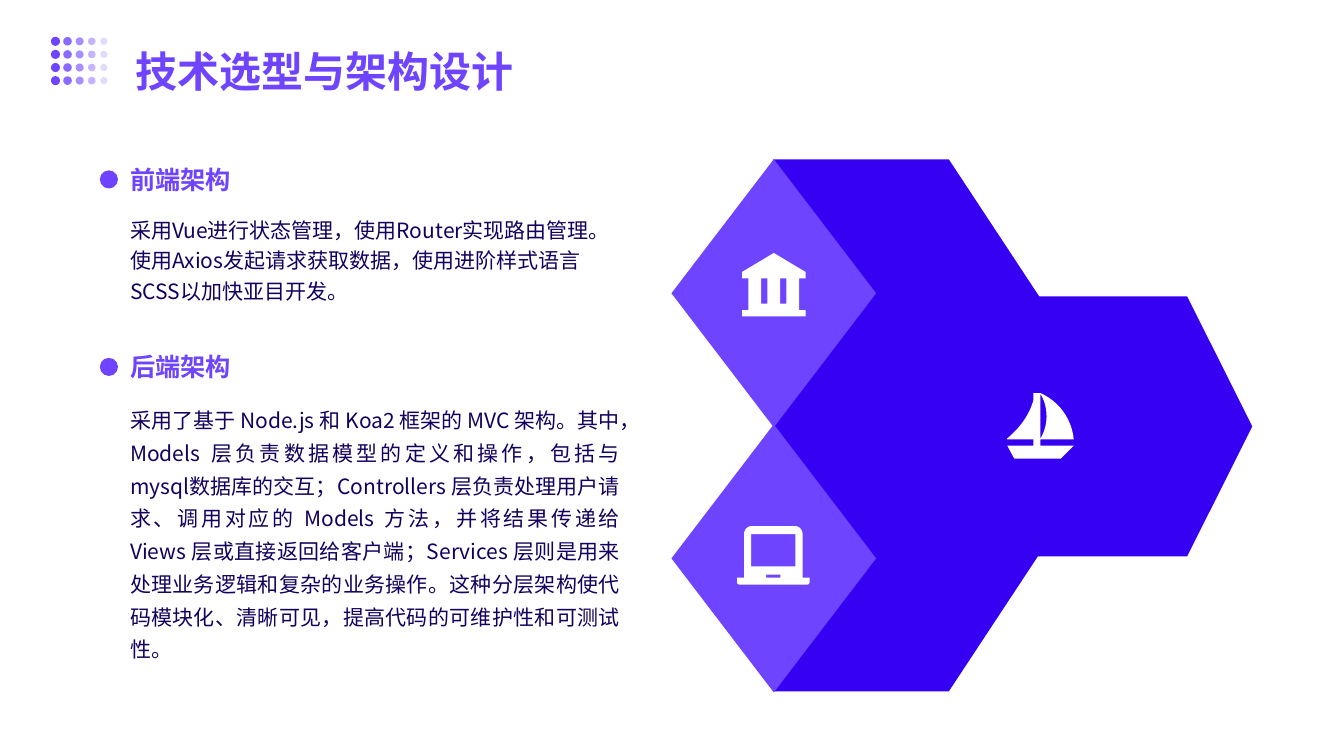
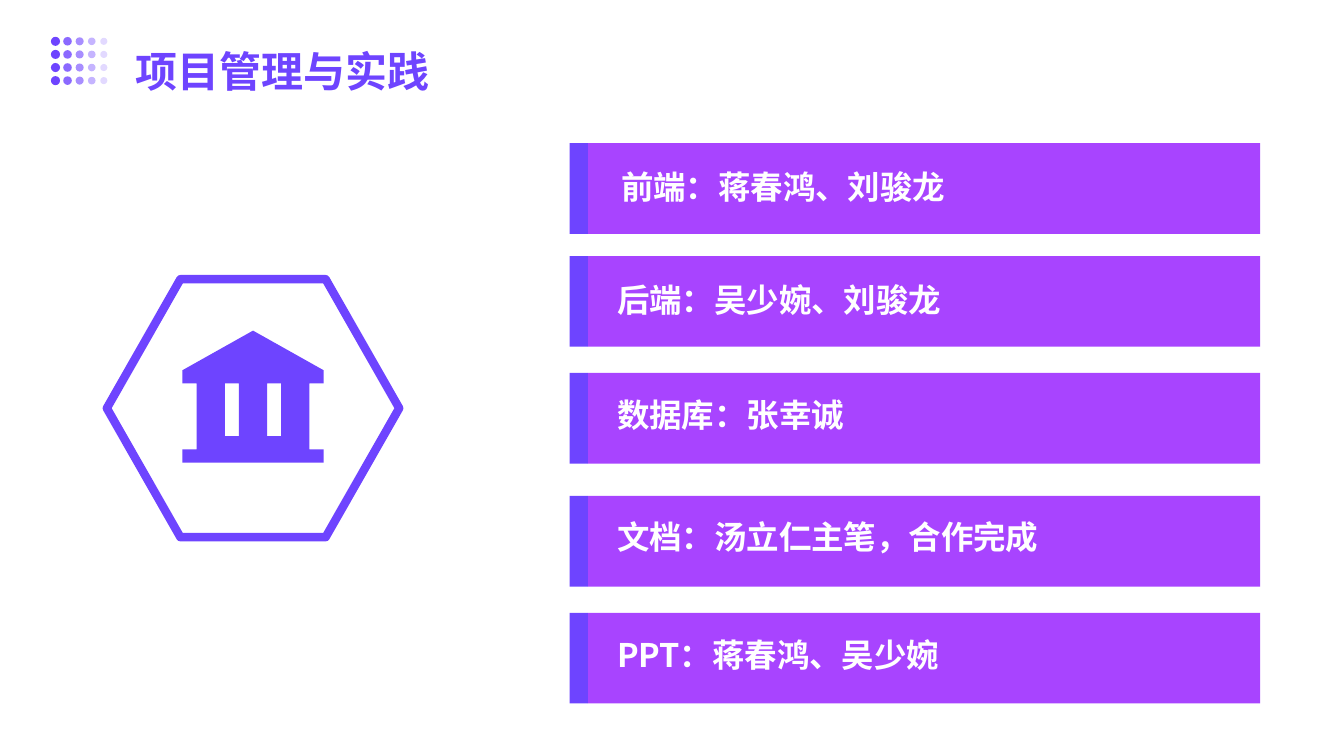
from lxml.etree import SubElement
from pptx import Presentation
from pptx.dml.color import RGBColor
from pptx.enum.shapes import MSO_SHAPE as SHAPE
from pptx.enum.text import MSO_ANCHOR as ANCHOR, MSO_AUTO_SIZE as AUTO, PP_ALIGN as ALIGN
from pptx.oxml.ns import qn
from pptx.util import Inches, Pt

VIOLET = RGBColor(0x6E, 0x44, 0xFF)
BLUE = RGBColor(0x36, 0x00, 0xF2)
PURPLE = RGBColor(0xA8, 0x44, 0xFF)
INK = RGBColor(0x15, 0x00, 0x5E)
WHITE = RGBColor(0xFF, 0xFF, 0xFF)
FONT = "Noto Sans CJK SC"
TITLE_ONLY = 5

BANK = [
    [(0, 0.3), (0.5, 0), (1, 0.3), (1, 0.4), (0.9, 0.4), (0.9, 0.9), (1, 0.9),
     (1, 1), (0, 1), (0, 0.9), (0.1, 0.9), (0.1, 0.4), (0, 0.4)],
    [(0.3, 0.4), (0.4, 0.4), (0.4, 0.8), (0.3, 0.8)],
    [(0.6, 0.4), (0.7, 0.4), (0.7, 0.8), (0.6, 0.8)],
]
LAPTOP = [
    [(7.96, 5.73), (8.03, 5.73), (8.03, 5.77), (8.03, 5.79, 8.02, 5.8, 8, 5.8),
     (7.34, 5.8), (7.32, 5.8, 7.31, 5.79, 7.31, 5.77), (7.31, 5.73), (7.38, 5.73),
     (7.38, 5.3), (7.38, 5.26, 7.41, 5.22, 7.45, 5.22), (7.89, 5.22),
     (7.93, 5.22, 7.96, 5.26, 7.96, 5.3)],
    [(7.45, 5.3), (7.45, 5.62), (7.89, 5.62), (7.89, 5.3)],
    [(7.6, 5.7), (7.6, 5.73), (7.74, 5.73), (7.74, 5.7)],
]
BOAT = [
    [(10.25, 3.96), (10.25, 3.9), (10.32, 3.9), (10.32, 4.42), (10.65, 4.42),
     (10.52, 4.55), (10.06, 4.55), (9.99, 4.42), (10.25, 4.42), (10.25, 4.36),
     (9.99, 4.36), (9.99, 4.35), (10.11, 4.25, 10.21, 4.12, 10.25, 3.97)],
    [(10.65, 4.36), (10.32, 4.36), (10.32, 4.35), (10.36, 4.28, 10.38, 4.21, 10.38, 4.13),
     (10.38, 4.05, 10.36, 3.97, 10.32, 3.91), (10.32, 3.9),
     (10.5, 3.98, 10.63, 4.15, 10.65, 4.36)],
]
FRONTEND = "采用Vue进行状态管理，使用Router实现路由管理。使用Axios发起请求获取数据，使用进阶样式语言SCSS以加快亚目开发。"
BACKEND = (
    "采用了基于 Node.js 和 Koa2 框架的 MVC 架构。其中，Models 层负责数据模型的定义和操作，"
    "包括与mysql数据库的交互；Controllers 层负责处理用户请求、调用对应的 Models 方法，"
    "并将结果传递给 Views 层或直接返回给客户端；Services 层则是用来处理业务逻辑和复杂的业务操作。"
    "这种分层架构使代码模块化、清晰可见，提高代码的可维护性和可测试性。"
)
ROLES = [
    (1.42, 6.04, 1.68, "前端：蒋春鸿、刘骏龙"),
    (2.54, 6, 2.8, "后端：吴少婉、刘骏龙"),
    (3.7, 6, 3.94, "数据库：张幸诚"),
    (4.92, 6, 5.15, "文档：汤立仁主笔，合作完成"),
    (6.08, 6, 6.32, "PPT：蒋春鸿、吴少婉"),
]


def paint(sp, color):
    sp.shadow.inherit = False
    sp.fill.solid()
    sp.fill.fore_color.rgb = color
    sp.line.fill.background()
    return sp


def add_preset(shapes, kind, box, color):
    return paint(shapes.add_shape(kind, *map(Inches, box)), color)


def set_alpha(sp, percent):
    color = sp._element.spPr.find(qn("a:solidFill"))[0]
    SubElement(color, qn("a:alpha")).set("val", str(percent * 1000))


def fill_text(sp, text, size, color, bold, spacing, insets, align=ALIGN.LEFT):
    tf = sp.text_frame
    tf.text = text
    tf.word_wrap = True
    tf.auto_size = AUTO.NONE
    tf.margin_left, tf.margin_top, tf.margin_right, tf.margin_bottom = map(Inches, insets)
    p = tf.paragraphs[0]
    p.alignment, p.line_spacing, p.space_before = align, spacing, Pt(0)
    r = p.runs[0]
    r.font.name, r.font.size, r.font.bold = FONT, Pt(size), bold
    r.font.color.rgb = color
    SubElement(r._r.get_or_add_rPr(), qn("a:ea")).set("typeface", FONT)


def add_text(slide, box, text, size, color, bold=False, spacing=1.2, align=ALIGN.LEFT):
    sp = slide.shapes.add_textbox(*map(Inches, box))
    fill_text(sp, text, size, color, bold, spacing, (0.12, 0.06, 0.12, 0.06), align)


def flatten(segments, steps=12):
    points = []
    for *controls, x, y in segments:
        if controls:
            x0, y0 = points[-1]
            x1, y1, x2, y2 = controls
            for i in range(1, steps + 1):
                t = i / steps
                a, b, c, d = (1 - t) ** 3, 3 * t * (1 - t) ** 2, 3 * t * t * (1 - t), t ** 3
                points.append((a * x0 + b * x1 + c * x2 + d * x,
                               a * y0 + b * y1 + c * y2 + d * y))
        else:
            points.append((x, y))
    return points


def add_icon(slide, contours, color, box=(0, 0, 1, 1)):
    left, top, width, height = box
    builder = None
    for segments in contours:
        points = [(Inches(left + x * width), Inches(top + y * height))
                  for x, y in flatten(segments)]
        if builder is None:
            builder = slide.shapes.build_freeform(*points[0])
        else:
            builder.move_to(*points[0])
        builder.add_line_segments(points[1:], close=True)
    paint(builder.convert_to_shape(), color)


def add_dots(slide):
    group = slide.shapes.add_group_shape()
    for row in range(4):
        for col in range(5):
            size = 0.09 - 0.005 * col
            left = 0.55 + 0.12 * col - size / 2
            top = 0.41 + 0.13 * row - size / 2
            dot = add_preset(group.shapes, SHAPE.OVAL, (left, top, size, size), VIOLET)
            if col:
                set_alpha(dot, 100 - 20 * col)


def add_titled_slide(prs, text):
    slide = prs.slides.add_slide(prs.slide_layouts[TITLE_ONLY])
    title = slide.shapes.title
    title.left, title.top, title.width, title.height = map(Inches, (1.2, 0.1, 10.94, 1))
    fill_text(title, text, 30, VIOLET, True, 1.4, (0.14, 0.14, 0.06, 0.14))
    title.text_frame.vertical_anchor = ANCHOR.MIDDLE
    add_dots(slide)
    return slide


def add_section(slide, top, heading, body, height, spacing, align):
    add_preset(slide.shapes, SHAPE.OVAL, (0.99, top + 0.18, 0.18, 0.18), VIOLET)
    add_text(slide, (1.17, top, 2.71, 0.51), heading, 18, VIOLET, True)
    add_text(slide, (1.17, top + 0.54, 5.1, height), body, 15, INK,
             spacing=spacing, align=align)


def add_role(slide, top, text_left, text_top, text):
    add_preset(slide.shapes, SHAPE.RECTANGLE, (5.83, top, 6.67, 0.9), PURPLE)
    add_preset(slide.shapes, SHAPE.RECTANGLE, (5.65, top, 0.18, 0.9), VIOLET)
    add_text(slide, (text_left, text_top, 5.3, 0.45), text, 23.2, WHITE, True, 0.77)


def build_architecture(prs):
    slide = add_titled_slide(prs, "技术选型与架构设计")
    add_section(slide, 1.51, "前端架构", FRONTEND, 1.01, 1.2, ALIGN.LEFT)
    add_section(slide, 3.37, "后端架构", BACKEND, 2.75, 1.3, ALIGN.JUSTIFY)
    add_preset(slide.shapes, SHAPE.HEXAGON, (9.41, 2.94, 3.01, 2.58), BLUE)
    add_preset(slide.shapes, SHAPE.PENTAGON, (7.67, 1.58, 3.48, 5.28), BLUE)
    for top in (1.58, 4.21):
        add_preset(slide.shapes, SHAPE.DIAMOND, (6.66, top, 2.03, 2.66), VIOLET)
    add_icon(slide, BANK, WHITE, (7.36, 2.51, 0.63, 0.63))
    add_icon(slide, LAPTOP, WHITE)
    add_icon(slide, BOAT, WHITE)


def build_roles(prs):
    slide = add_titled_slide(prs, "项目管理与实践")
    frame = add_preset(slide.shapes, SHAPE.HEXAGON, (1.06, 2.77, 2.9, 2.56), WHITE)
    frame.adjustments[0] = 0.285
    frame.line.color.rgb = VIOLET
    frame.line.width = Pt(6)
    SubElement(frame._element.spPr.find(qn("a:ln")), qn("a:round"))
    add_icon(slide, BANK, VIOLET, (1.81, 3.28, 1.4, 1.31))
    for role in ROLES:
        add_role(slide, *role)


def main():
    prs = Presentation()
    prs.slide_width, prs.slide_height = Inches(13.33), Inches(7.5)
    build_architecture(prs)
    build_roles(prs)
    prs.save("out.pptx")


if __name__ == "__main__":
    main()
